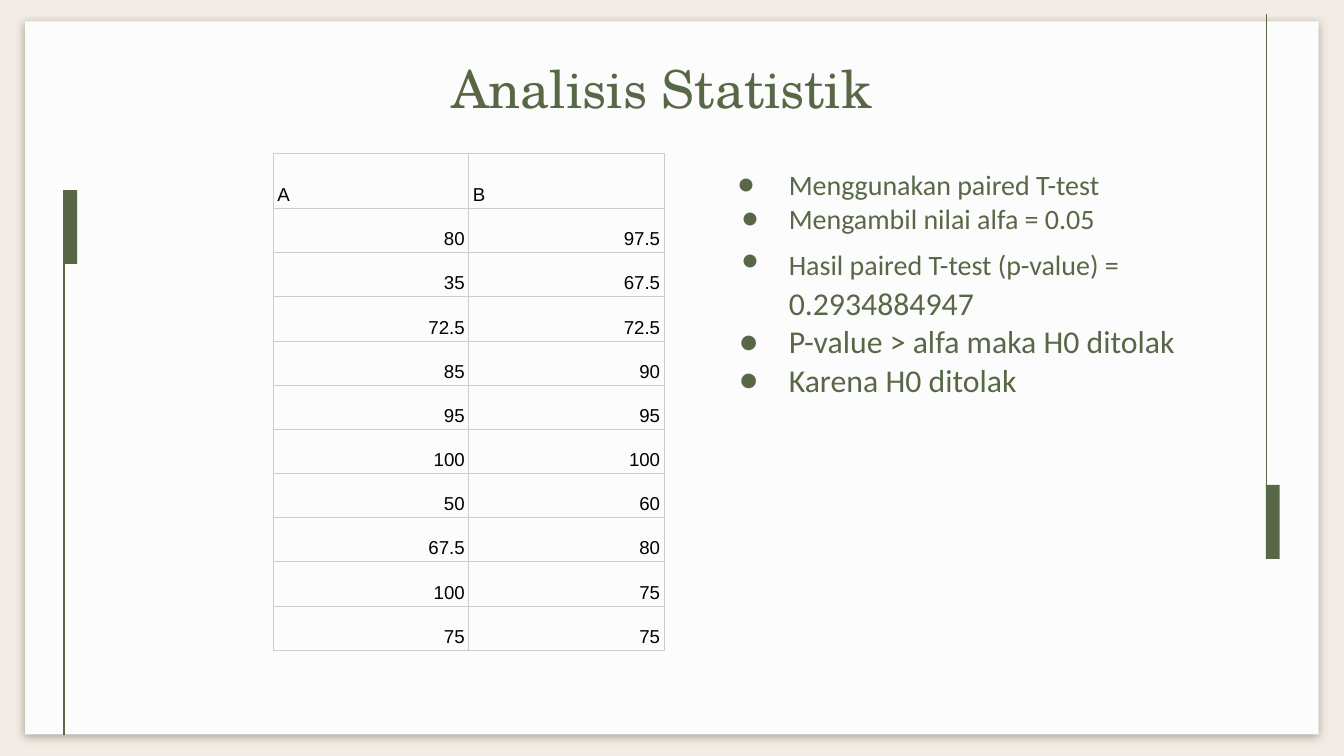
import pptx
import pptx.dml.color
import pptx.enum.shapes
import pptx.enum.text
import pptx.oxml
import pptx.oxml.ns
import pptx.util

Pt = pptx.util.Pt
Align = pptx.enum.text.PP_ALIGN
Anchor = pptx.enum.text.MSO_ANCHOR
Kind = pptx.enum.shapes.MSO_SHAPE
Wire = pptx.enum.shapes.MSO_CONNECTOR

COLORS = {"page": "F3ECE6", "card": "FCFCFC", "green": "586847",
          "rule": "CCCCCC", "ink": "000000"}
SCORES = [("A", "B"), ("80", "97.5"), ("35", "67.5"), ("72.5", "72.5"),
          ("85", "90"), ("95", "95"), ("100", "100"), ("50", "60"),
          ("67.5", "80"), ("100", "75"), ("75", "75")]
POINTS = [
    (27.4, [("Menggunakan paired T-test", 15)]),
    (25.2, [("Mengambil nilai alfa = 0.05", 15)]),
    (25.2, [("Hasil paired T-test (p-value) =", 15), (" ", 22),
            ("0.2934884947", 17)]),
    (26.6, [("P-value > alfa maka H0 ditolak", 17)]),
    (26.6, [("Karena H0 ditolak", 17)]),
]


def color(name):
    return pptx.dml.color.RGBColor.from_string(COLORS[name])


def node(xml):
    space = pptx.oxml.ns.nsdecls("a")
    return pptx.oxml.parse_xml(xml.replace(">", f" {space}>", 1))


def write(para, text, size=15, font="Calibri", tint="green",
          align=Align.LEFT, space=1.0):
    para.alignment = align
    para.line_spacing = space
    run = para.add_run()
    run.text = text
    run.font.size = Pt(size)
    run.font.name = font
    run.font.color.rgb = color(tint)


def inset(frame, gap=7.2):
    frame.word_wrap = True
    frame.auto_size = pptx.enum.text.MSO_AUTO_SIZE.NONE
    frame.vertical_anchor = Anchor.TOP
    frame.margin_left = frame.margin_right = Pt(gap)
    frame.margin_top = frame.margin_bottom = Pt(gap)


def block(slide, box, tint):
    shape = slide.shapes.add_shape(Kind.RECTANGLE, *map(Pt, box))
    shape.shadow.inherit = False
    shape.fill.solid()
    shape.fill.fore_color.rgb = color(tint)
    shape.line.fill.background()
    return shape


def card(slide, box):
    shape = block(slide, box, "card")
    glow = shape.element.spPr.find(pptx.oxml.ns.qn("a:effectLst"))
    glow.append(node(
        '<a:outerShdw blurRad="57150" dist="19050" dir="5400000" '
        'algn="bl" rotWithShape="0">'
        f'<a:srgbClr val="{COLORS["green"]}"><a:alpha val="50000"/>'
        '</a:srgbClr></a:outerShdw>'))


def accent(slide, box, start, end):
    left = box[0] + 0.4
    block(slide, box, "green")
    line = slide.shapes.add_connector(
        Wire.STRAIGHT, Pt(left), Pt(start), Pt(left), Pt(end))
    line.line.color.rgb = color("green")
    line.line.width = Pt(0.75)
    line.element.spPr.append(node("<a:effectLst></a:effectLst>"))


def title(slide, box, text):
    shape = slide.shapes.title
    shape.left, shape.top, shape.width, shape.height = map(Pt, box)
    inset(shape.text_frame)
    write(shape.text_frame.paragraphs[0], text, size=28,
          font="TeX Gyre Schola", align=Align.CENTER)
    shape.element.getparent().append(shape.element)


def points(slide, box, items):
    frame = slide.shapes.add_textbox(*map(Pt, box)).text_frame
    inset(frame)
    for row, (hang, runs) in enumerate(items):
        para = frame.add_paragraph() if row else frame.paragraphs[0]
        for text, size in runs:
            write(para, text, size=size)
        props = para._p.get_or_add_pPr()
        props.set("marL", str(Pt(36)))
        props.set("indent", str(-Pt(hang)))
        props.append(node(f'<a:buClr><a:srgbClr val="{COLORS["green"]}"/>'
                          '</a:buClr>'))
        props.append(node('<a:buFont typeface="Calibri"></a:buFont>'))
        props.append(node('<a:buChar char="●"></a:buChar>'))


def border(cell):
    props = cell._tc.get_or_add_tcPr()
    for side in ("lnL", "lnR", "lnT", "lnB"):
        props.append(node(
            f'<a:{side} w="{Pt(0.6)}"><a:solidFill>'
            f'<a:srgbClr val="{COLORS["rule"]}"/></a:solidFill></a:{side}>'))


def scores(slide, box, data, head=29.5):
    width, height = box[2:]
    grid = slide.shapes.add_table(
        len(data), len(data[0]), *map(Pt, box)).table
    grid.first_row = grid.horz_banding = False
    for col in grid.columns:
        col.width = Pt(width / len(data[0]))
    for row, texts in enumerate(data):
        grid.rows[row].height = Pt(
            (height - head) / (len(data) - 1) if row else head)
        for col, text in enumerate(texts):
            cell = grid.cell(row, col)
            cell.vertical_anchor = Anchor.BOTTOM
            cell.margin_left = cell.margin_right = Pt(2.2)
            cell.margin_top = cell.margin_bottom = Pt(1.6)
            border(cell)
            cell.fill.background()
            write(cell.text_frame.paragraphs[0], text, size=10,
                  font="Arial", tint="ink", space=1.15,
                  align=Align.RIGHT if row else Align.LEFT)


def main():
    deck = pptx.Presentation()
    deck.slide_width, deck.slide_height = Pt(720), Pt(405)
    slide = deck.slides.add_slide(deck.slide_layouts[5])
    slide.background.fill.solid()
    slide.background.fill.fore_color.rgb = color("page")
    card(slide, (13.5, 11.5, 693, 382))
    accent(slide, (34, 101.8, 7.4, 39.6), 101.8, 393.8)
    accent(slide, (678.2, 259.8, 7.4, 39.6), 299.4, 7.7)
    title(slide, (51, 23, 607, 67), "Analisis Statistik")
    points(slide, (379.5, 82.6, 261.4, 240), POINTS)
    scores(slide, (146.4, 82.2, 209.4, 266.4), SCORES)
    deck.save("out.pptx")


if __name__ == "__main__":
    main()
